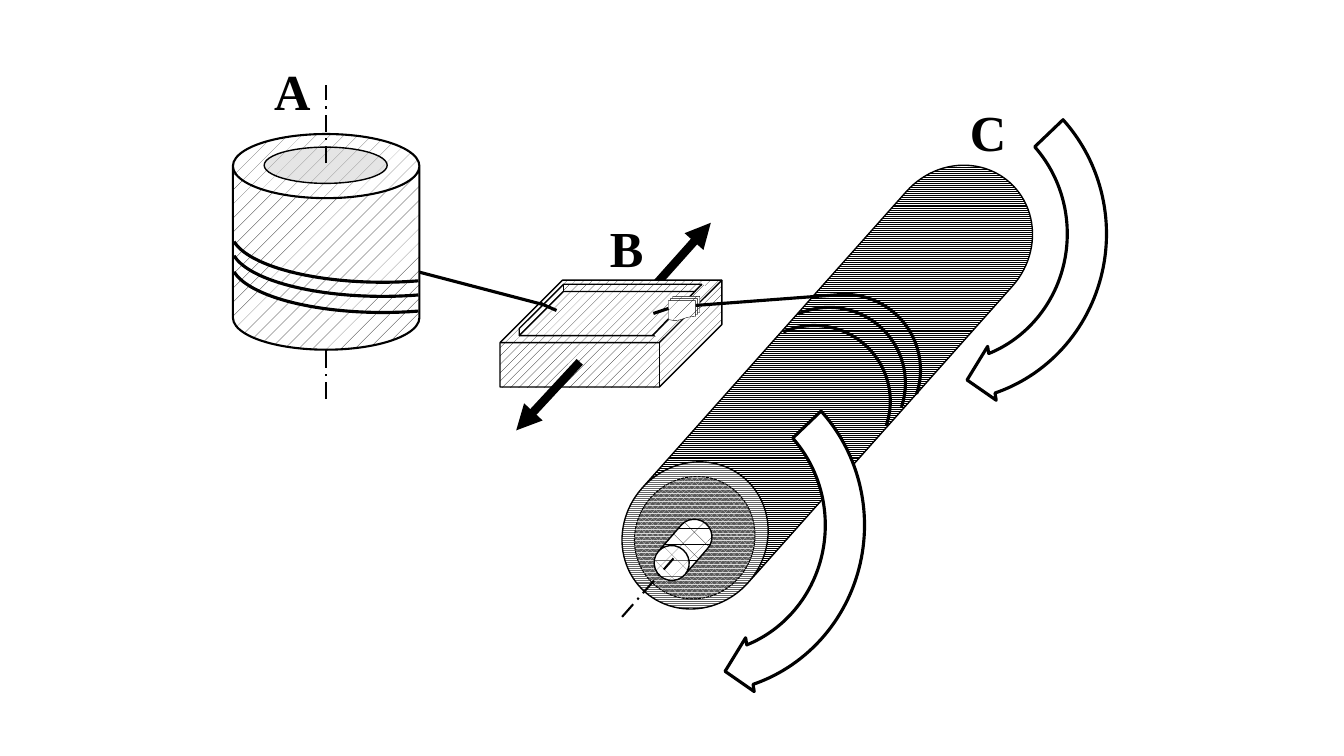
from pptx import Presentation
from pptx.dml.color import RGBColor
from pptx.enum.dml import MSO_LINE as DASH, MSO_PATTERN as PAT
from pptx.enum.shapes import MSO_CONNECTOR, MSO_SHAPE as SH
from pptx.oxml.ns import qn
from pptx.util import Inches, Pt
from lxml.etree import SubElement

THEME = dict(ink="000000", paper="FFFFFF", bore="BFBFBF", core_fg="D9D9D9", core_bg="595959",
             font="Times New Roman", label=36, hair=0.25, edge=1, body=1.5, thread=2.25, arrow=6)
HATCH = dict(pattern=PAT.PERCENT_20)
AXIS = dict(width=THEME["body"], dash=DASH.LONG_DASH_DOT)
ARROW = dict(width=THEME["arrow"], head=True)
THREAD = dict(width=THEME["thread"])

# Content: each part is (preset, (left, top, width, height), format)
# or (start, end, format), back to front
SPOOL = [
    ((3.23, 3.96), (3.23, 2.99), AXIS),
    (SH.CAN, (2.31, 1.33, 1.85, 2.14),
     dict(adj=[0.344], pattern=PAT.PERCENT_5, width=THEME["body"])),
    (SH.OVAL, (2.62, 1.46, 1.22, 0.36), dict(fill=THEME["bore"], alpha=40)),
    ((3.23, 1.62), (3.23, 0.84), AXIS),
]
GUIDE = [
    ((6.3, 3.05), (7.05, 2.21), ARROW),
    (SH.CUBE, (4.96, 2.78, 2.2, 1.06), dict(adj=[0.585], **HATCH)),
    (SH.CUBE, (5.15, 2.82, 1.81, 0.51), dict(adj=[0.861], rot=180, **HATCH)),
    (SH.RECTANGLE, (6.72, 2.74, 0.06, 0.7), dict(rot=44.6, width=None, **HATCH)),
    ((6.96, 2.82), (6.47, 3.33), {}),
    ((5.75, 3.59), (5.12, 4.27), ARROW),
    (SH.FLOWCHART_MULTIDOCUMENT, (6.63, 2.94, 0.31, 0.24),
     dict(pattern=PAT.PERCENT_5, width=THEME["hair"])),
]
ROLLER = [
    (SH.CAN, (7.5, 1.12, 1.41, 5.44),
     dict(adj=[1.063], rot=221.7, pattern=PAT.LIGHT_HORIZONTAL)),
    (SH.OVAL, (6.3, 4.72, 1.18, 1.23),
     dict(rot=33.7, pattern=PAT.PERCENT_75, fore=THEME["core_fg"], back=THEME["core_bg"],
          width=0.75, dash=DASH.SQUARE_DOT)),
]
SHAFT = [
    (SH.CAN, (6.6, 5.11, 0.35, 0.69), dict(adj=[1.018], rot=221, pattern=PAT.DIVOT)),
    ((6.17, 6.12), (6.68, 5.54), AXIS),
]
THREAD_RUN = [
    ((4.16, 2.7), (5.38, 3.02), THREAD),
    ((5.36, 3.01), (5.52, 3.08), THREAD),
    ((6.63, 3.06), (6.48, 3.11), THREAD),
    ((8.37, 2.92), (6.9, 3.03), THREAD),
]
SPINS = [(5.22, 3.52), (7.62, 0.63)]
ROLLER_TURNS = [(7.47, 3.05, 147.551), (7.62, 2.92, 161.555), (7.32, 3.23, 147.551)]
SPOOL_TURNS = [1.93, 2.09, 1.79]
LABELS = [("A", 2.62, 0.55), ("B", 5.95, 2.1), ("C", 9.52, 0.95)]


def rgb(name):
    return RGBColor.from_string(name)


def style_line(line, width, dash=None):
    if width is None:
        line.fill.background()
        return
    line.fill.solid()
    line.fill.fore_color.rgb = rgb(THEME["ink"])
    line.width = Pt(width)
    if dash:
        line.dash_style = dash


def add_line(sp_tree, start, end, width=THEME["edge"], dash=None, head=False):
    c = sp_tree.add_connector(MSO_CONNECTOR.STRAIGHT, *map(Inches, start + end))
    style_line(c.line, width, dash)
    pr = c.element.spPr
    if head:
        SubElement(pr.find(qn("a:ln")), qn("a:tailEnd"), type="triangle")
    SubElement(pr, qn("a:effectLst"))


def add_part(sp_tree, kind, box, adj=(), rot=0, fill=None, alpha=None, pattern=None,
             fore=THEME["ink"], back=THEME["paper"], width=THEME["edge"], dash=None):
    sp = sp_tree.add_shape(kind, *map(Inches, box))
    for i, value in enumerate(adj):
        sp.adjustments[i] = value
    sp.rotation = rot
    if pattern is not None:
        sp.fill.patterned()
        sp.fill.pattern = pattern
        sp.fill.fore_color.rgb, sp.fill.back_color.rgb = rgb(fore), rgb(back)
    elif fill:
        sp.fill.solid()
        sp.fill.fore_color.rgb = rgb(fill)
    else:
        sp.fill.background()
    if alpha:
        color = sp.element.spPr.find(qn("a:solidFill")).find(qn("a:srgbClr"))
        SubElement(color, qn("a:alpha"), val=str(alpha * 1000))
    style_line(sp.line, width, dash)
    sp.shadow.inherit = False


def add_text(sp_tree, text, box, size, font, color, bold=False):
    tf = sp_tree.add_textbox(*map(Inches, box)).text_frame
    tf.word_wrap = True
    r = tf.paragraphs[0].add_run()
    r.text = text
    r.font.size, r.font.name, r.font.bold = Pt(size), font, bold
    r.font.color.rgb = rgb(color)


def draw(sp_tree, parts):
    for first, second, fmt in parts:
        add = add_line if isinstance(first, tuple) else add_part
        add(sp_tree, first, second, **fmt)


prs = Presentation()
prs.slide_width, prs.slide_height = Inches(13.33), Inches(7.5)
s = prs.slides.add_slide(prs.slide_layouts[6])
diagram = s.shapes.add_group_shape().shapes

# Spool A, guide B and roller C
for parts in (SPOOL, GUIDE, ROLLER):
    draw(diagram, parts)

# Rotation arrows, then the shaft and the thread
for left, top in SPINS:
    add_part(diagram, SH.CIRCULAR_ARROW, (left, top, 3.48, 3.38), rot=90, fill=THEME["paper"],
             adj=[0.115, 5.993, 204.577, 135.757, 0.08], **THREAD)
draw(diagram, SHAFT + THREAD_RUN)

# Thread wound on roller and spool
for left, top, start in ROLLER_TURNS:
    add_part(diagram, SH.ARC, (left, top, 1.51, 1.5), adj=[start, 11.061], **THREAD)
for top in SPOOL_TURNS:
    add_part(diagram, SH.ARC, (2.29, top, 3.01, 1.01), rot=180, adj=[140.472, 213.633], **THREAD)

# Labels
for text, left, top in LABELS:
    add_text(diagram, text, (left, top, 0.76, 0.71), size=THEME["label"], font=THEME["font"],
             color=THEME["ink"], bold=True)

prs.save("out.pptx")
